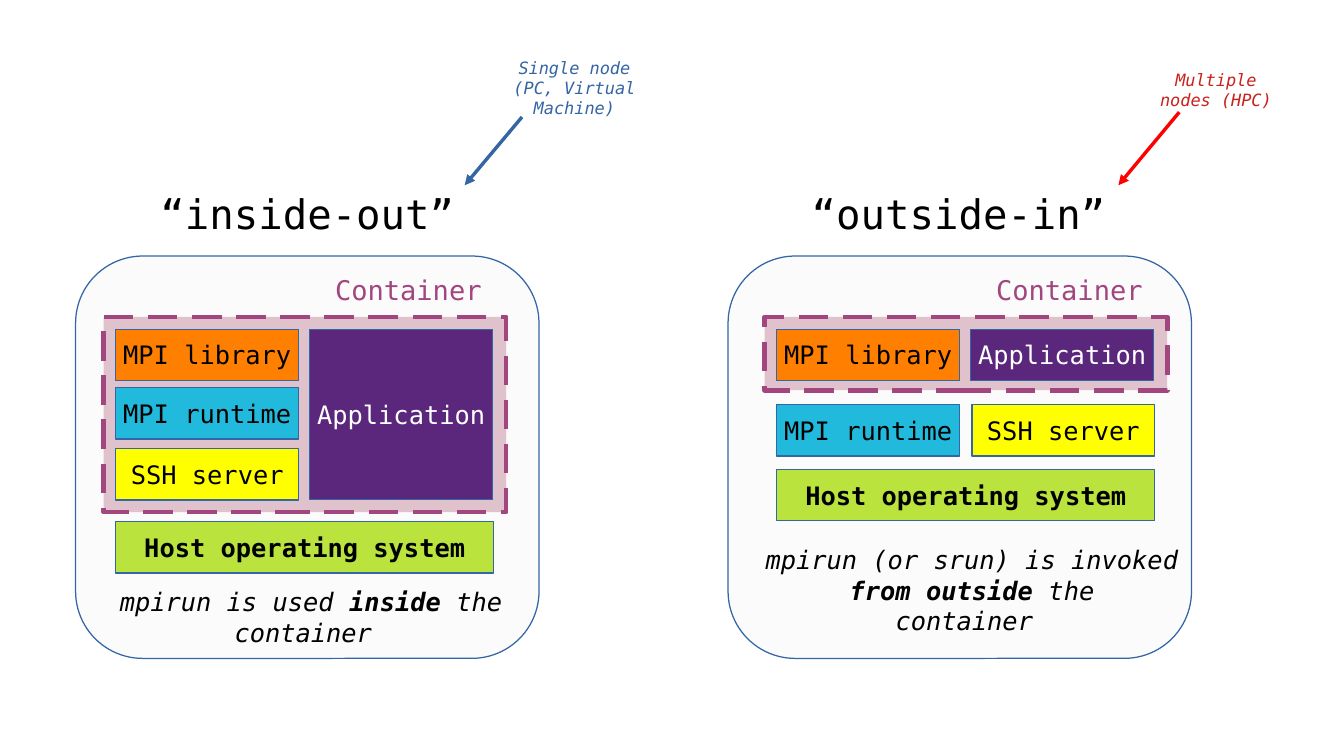
from lxml import etree
from pptx import Presentation
from pptx import util as u
from pptx.dml.color import RGBColor
from pptx.enum import shapes, text
from pptx.oxml import ns

COLOURS = {
    "ink": "000000", "white": "FFFFFF", "edge": "3465A4", "panel": "DDDDDD",
    "container": "E0C2CD", "plum": "A1467E", "library": "FF8000",
    "runtime": "21BADC", "ssh": "FFFF00", "host": "BBE33D",
    "application": "5B277D", "multi": "C9211E", "arrow": "FF0000",
}
BOX_W, BOX_H, HOST_W = 108, 30.24, 223.2
TOP_ROW = 194.4


class Diagram:
    font = "DejaVu Sans Mono"

    def __init__(self, slide):
        self.slide = slide

    def colour(self, name):
        return RGBColor.from_string(COLOURS[name])

    def child(self, parent, tag, **attributes):
        return etree.SubElement(parent, ns.qn(tag), attributes)

    def add_runs(self, frame, runs, size, colour, italic=False, centred=True):
        """Add (words, bold) runs; a newline in the words is a line break."""
        paragraph = frame.paragraphs[0]
        paragraph.alignment = text.PP_ALIGN.CENTER if centred else text.PP_ALIGN.LEFT
        paragraph.space_before = u.Pt(0)
        for words, bold in runs:
            for number, line in enumerate(words.split("\n")):
                if number:
                    paragraph.add_line_break()
                if line:
                    run = paragraph.add_run()
                    run.text = line
                    run.font.name, run.font.size = self.font, u.Pt(size)
                    run.font.bold, run.font.italic = bold, italic
                    run.font.color.rgb = self.colour(colour)
        return paragraph

    def shape(self, kind, x, y, w, h, fill, line="edge", width=0):
        shape = self.slide.shapes.add_shape(kind, u.Pt(x), u.Pt(y), u.Pt(w), u.Pt(h))
        shape.shadow.inherit = False
        shape.fill.solid()
        shape.fill.fore_color.rgb = self.colour(fill)
        shape.line.color.rgb = self.colour(line)
        shape.line.width = u.Pt(width)
        return shape

    def panel(self, x):
        panel = self.shape(shapes.MSO_SHAPE.ROUNDED_RECTANGLE, x, 151.2, 273.6, 237.6, "panel")
        tint = panel._element.spPr.find(ns.qn("a:solidFill"))[0]
        self.child(tint, "a:alpha", val="10000")

    def container(self, x, height):
        frame = self.shape(shapes.MSO_SHAPE.RECTANGLE, x, 187.2, 237.6, height,
                           "container", "plum", 2.89)
        dashes = self.child(frame._element.spPr.find(ns.qn("a:ln")), "a:custDash")
        self.child(dashes, "a:ds", d="600000", sp="300000")
        self.label(x + 129.6, 157.68, 108, 29.5, "Container", 16, "plum", centred=False)

    def box(self, x, y, words, fill, w=BOX_W, h=BOX_H, colour="ink", bold=False):
        box = self.shape(shapes.MSO_SHAPE.RECTANGLE, x, y, w, h, fill)
        box.text_frame.word_wrap = False
        box.text_frame.vertical_anchor = text.MSO_ANCHOR.MIDDLE
        self.add_runs(box.text_frame, [(words, bold)], 15, colour)

    def label(self, x, y, w, h, words, size, colour, italic=False, centred=True):
        label = self.slide.shapes.add_textbox(u.Pt(x), u.Pt(y), u.Pt(w), u.Pt(h))
        label.text_frame.word_wrap = True
        self.add_runs(label.text_frame, [(words, False)], size, colour, italic, centred)

    def placeholder(self, index, x, y, w, h, runs, size, italic=False):
        holder = self.slide.placeholders[index]
        holder.left, holder.top, holder.width, holder.height = map(u.Pt, (x, y, w, h))
        frame = holder.text_frame
        frame.margin_left = frame.margin_right = frame.margin_top = frame.margin_bottom = 0
        frame.word_wrap, frame.auto_size = True, text.MSO_AUTO_SIZE.NONE
        frame.vertical_anchor = text.MSO_ANCHOR.MIDDLE
        paragraph = self.add_runs(frame, runs, size, "ink", italic)
        settings = paragraph._p.get_or_add_pPr()
        settings.set("marL", "0")
        settings.set("indent", "0")
        self.child(settings, "a:buNone")
        self.slide.shapes._spTree.append(holder._element)  # in front of the panels

    def arrow(self, x1, y1, x2, y2, colour):
        arrow = self.slide.shapes.add_connector(
            shapes.MSO_CONNECTOR.STRAIGHT, u.Pt(x1), u.Pt(y1), u.Pt(x2), u.Pt(y2))
        arrow.line.color.rgb = self.colour(colour)
        arrow.line.width = u.Pt(0)
        outline = arrow._element.spPr
        self.child(outline.find(ns.qn("a:ln")), "a:tailEnd", type="triangle")
        self.child(outline, "a:effectLst")


def main():
    deck = Presentation()
    deck.slide_width, deck.slide_height = u.Pt(793.44), u.Pt(446.4)
    slide = deck.slides.add_slide(deck.slide_layouts.get_by_name("Comparison"))
    spare = slide.placeholders[3]._element
    spare.getparent().remove(spare)
    diagram = Diagram(slide)

    # Panels and containers
    inside, outside = 61.2, 451.44
    for panel_x, container_x, height in ((44.64, inside, 115.2), (429.84, outside, 43.2)):
        diagram.panel(panel_x)
        diagram.container(container_x, height)

    # Software stacks: library and host, then the parts that differ
    inside_x, outside_x = inside + 7.2, outside + 7.2
    for stack_x, host_y in ((inside_x, 308.16), (outside_x, 277.2)):
        diagram.box(stack_x, TOP_ROW, "MPI library", "library")
        diagram.box(stack_x, host_y, "Host operating system", "host", w=HOST_W, bold=True)
    for x, y in ((inside_x, 228.96), (outside_x, 239.04)):
        diagram.box(x, y, "MPI runtime", "runtime")
    for x, y in ((inside_x, 264.96), (outside_x + 115.2, 239.04)):
        diagram.box(x, y, "SSH server", "ssh")
    for x, height in ((inside_x + 114.48, 100.8), (outside_x + 114.48, BOX_H)):
        diagram.box(x, TOP_ROW, "Application", "application", h=height, colour="white")

    # Headings and captions
    diagram.placeholder(0, 29.52, 105.84, 303.84, 40.32, [("“inside-out”", False)], 24)
    diagram.placeholder(1, 414, 105.84, 303.84, 40.32, [("“outside-in”", False)], 24)
    diagram.placeholder(2, inside, 339.84, 244.8, 48.96, [
        ("mpirun is used ", False), ("inside", True), (" the container ", False)], 15, True)
    diagram.placeholder(4, outside, 313.92, 244.8, 69.12, [
        ("mpirun (or srun) is invoked\n", False), ("from outside", True),
        (" the\ncontainer ", False)], 15, True)

    # Node notes with their arrows
    diagram.label(295.92, 30.24, 86.4, 57.6, "Single node (PC, Virtual Machine)",
                  10, "edge", italic=True)
    diagram.arrow(308.16, 69.12, 274.32, 109.44, "edge")
    diagram.label(674.64, 37.44, 86.4, 36, "Multiple nodes (HPC)", 10, "multi", italic=True)
    diagram.arrow(696.24, 66.24, 660.24, 109.44, "arrow")

    deck.save("out.pptx")


if __name__ == "__main__":
    main()
